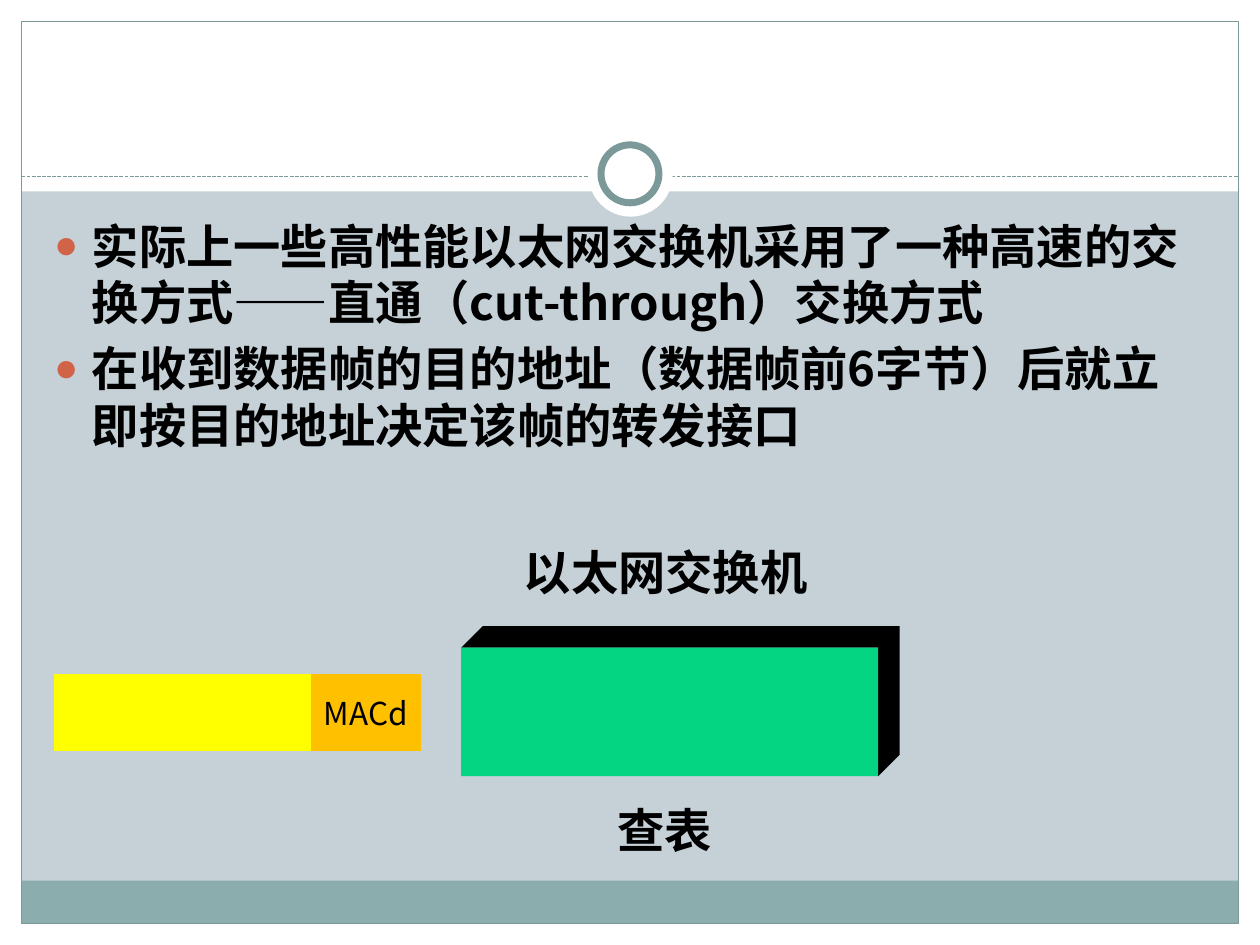
from lxml import etree
from pptx import Presentation
from pptx.dml.color import RGBColor
from pptx.enum.dml import MSO_LINE
from pptx.enum.shapes import MSO_CONNECTOR, MSO_SHAPE
from pptx.enum.text import MSO_ANCHOR, MSO_AUTO_SIZE, PP_ALIGN
from pptx.oxml.ns import qn
from pptx.util import Inches, Pt

RECTANGLE, ELLIPSE = MSO_SHAPE.RECTANGLE, MSO_SHAPE.OVAL
STRAIGHT = MSO_CONNECTOR.STRAIGHT
DASHED = MSO_LINE.SQUARE_DOT
MIDDLE, CENTER = MSO_ANCHOR.MIDDLE, PP_ALIGN.CENTER
FIXED = MSO_AUTO_SIZE.NONE

BACKGROUND = RGBColor(0xC5, 0xD1, 0xD7)
WHITE = RGBColor(0xFF, 0xFF, 0xFF)
BLACK = RGBColor(0, 0, 0)
TEAL = RGBColor(0x7C, 0x99, 0x9A)
FOOTER = RGBColor(0x8C, 0xAD, 0xAE)
BULLET = "D16349"
GREEN = RGBColor(0x04, 0xD5, 0x82)
YELLOW = RGBColor(0xFF, 0xFF, 0x00)
ORANGE = RGBColor(0xFF, 0xC0, 0x00)

COLUMNS, ROWS = 10, 7.5
FONT = "Noto Sans CJK SC"
POINTS = [
    "实际上一些高性能以太网交换机采用了一种高速的交换方式——直通（cut-through）交换方式",
    "在收到数据帧的目的地址（数据帧前6字节）后就立即按目的地址决定该帧的转发接口",
]


class SlideBuilder:
    def __init__(self, deck):
        self.cell = deck.slide_width / COLUMNS
        self.page = deck.slides.add_slide(deck.slide_layouts[1])
        title = self.page.shapes.title
        title.element.getparent().remove(title.element)
        background = self.page.background.fill
        background.solid()
        background.fore_color.rgb = BACKGROUND

    def grid(self, *cells):
        return [round(cell * self.cell) for cell in cells]

    def paint(self, shape, fill, line, weight):
        shape.shadow.inherit = False
        if fill is None:
            shape.fill.background()
        else:
            shape.fill.solid()
            shape.fill.fore_color.rgb = fill
        if line is None:
            shape.line.fill.background()
        else:
            shape.line.color.rgb = line
            shape.line.width = Pt(weight)
        return shape

    def shape(self, place, fill=None, line=None, weight=0.75, kind=RECTANGLE, parent=None):
        shapes = (parent or self.page).shapes
        return self.paint(shapes.add_shape(kind, *self.grid(*place)), fill, line, weight)

    def polygon(self, corners, fill):
        start, *others = [self.grid(*corner) for corner in corners]
        builder = self.page.shapes.build_freeform(*start)
        builder.add_line_segments(others, close=True)
        return self.paint(builder.convert_to_shape(), fill, None, 0)

    def dashed_line(self, start, end):
        line = self.page.shapes.add_connector(STRAIGHT, *self.grid(*start, *end))
        line.line.color.rgb = TEAL
        line.line.width = Pt(0.75)
        line.line.dash_style = DASHED
        etree.SubElement(line.element.spPr, qn("a:effectLst"))

    def style(self, para, size=27, bold=True):
        font = para.font
        font.name, font.size, font.bold = FONT, Pt(size), bold
        font.color.rgb = BLACK
        properties = para._p.pPr.find(qn("a:defRPr"))
        etree.SubElement(properties, qn("a:ea"), typeface=FONT)

    def bullet(self, para):
        properties = para._p.get_or_add_pPr()
        properties.set("marL", str(Inches(0.3)))
        properties.set("indent", str(-Inches(0.3)))
        colour = etree.SubElement(properties, qn("a:buClr"))
        etree.SubElement(colour, qn("a:srgbClr"), val=BULLET)
        etree.SubElement(properties, qn("a:buSzPct"), val="85000")
        etree.SubElement(properties, qn("a:buChar"), char="●")

    def body(self, place, texts):
        box = self.page.placeholders[1]
        box.left, box.top, box.width, box.height = self.grid(*place)
        frame = box.text_frame
        frame.auto_size = FIXED
        frame.text = "\n".join(texts)
        for index, para in enumerate(frame.paragraphs):
            self.bullet(para)
            para.space_before = Pt(5.4 if index else 0)
            self.style(para)

    def label(self, place, text):
        frame = self.page.shapes.add_textbox(*self.grid(*place)).text_frame
        frame.word_wrap = True
        frame.text = text
        self.style(frame.paragraphs[0])

    def block(self, left, top, width, height, depth):
        right, bottom = left + width, top + height
        self.polygon([
            (left, top), (left + depth, top - depth), (right + depth, top - depth),
            (right + depth, bottom - depth), (right, bottom), (right, top),
        ], BLACK)
        self.shape((left, top, width, height), GREEN)

    def data_frame(self, left, top, width, height, address_width):
        group = self.page.shapes.add_group_shape()
        self.shape((left, top, width, height), YELLOW, parent=group)
        place = (left + width - address_width, top, address_width, height)
        frame = self.shape(place, ORANGE, parent=group).text_frame
        frame.word_wrap = False
        frame.vertical_anchor = MIDDLE
        frame.text = "MACd"
        para = frame.paragraphs[0]
        para.alignment = CENTER
        self.style(para, 18, False)


def main():
    deck = Presentation()
    deck.slide_width, deck.slide_height = Inches(COLUMNS), Inches(ROWS)
    slide = SlideBuilder(deck)

    margin = 0.17
    inner_width, inner_height = COLUMNS - 2 * margin, ROWS - 2 * margin
    for place in [
        (0, ROWS - margin, COLUMNS, margin),
        (0, 0, COLUMNS, 1.52),
        (0, 0, margin, ROWS),
        (COLUMNS - margin, 0, margin, ROWS),
    ]:
        slide.shape(place, WHITE)
    slide.shape((margin, 6.99, inner_width, 0.34), FOOTER)
    slide.shape((margin, margin, inner_width, inner_height), line=TEAL)
    slide.dashed_line((margin, 1.4), (COLUMNS - margin, 1.4))
    slide.shape((4.67, 1.05, 0.67, 0.67), WHITE, kind=ELLIPSE)
    slide.shape((4.77, 1.15, 0.46, 0.46), WHITE, TEAL, 4, ELLIPSE)

    slide.body((0.33, 1.67, 9.3, 5), POINTS)
    slide.block(3.66, 5.14, 3.31, 1.02, depth=0.17)
    slide.data_frame(0.43, 5.35, 2.91, 0.61, address_width=0.87)
    slide.label((4.06, 4.26, 3.31, 0.56), "以太网交换机")
    slide.label((4.8, 6.31, 1.1, 0.56), "查表")
    deck.save("out.pptx")


if __name__ == "__main__":
    main()
